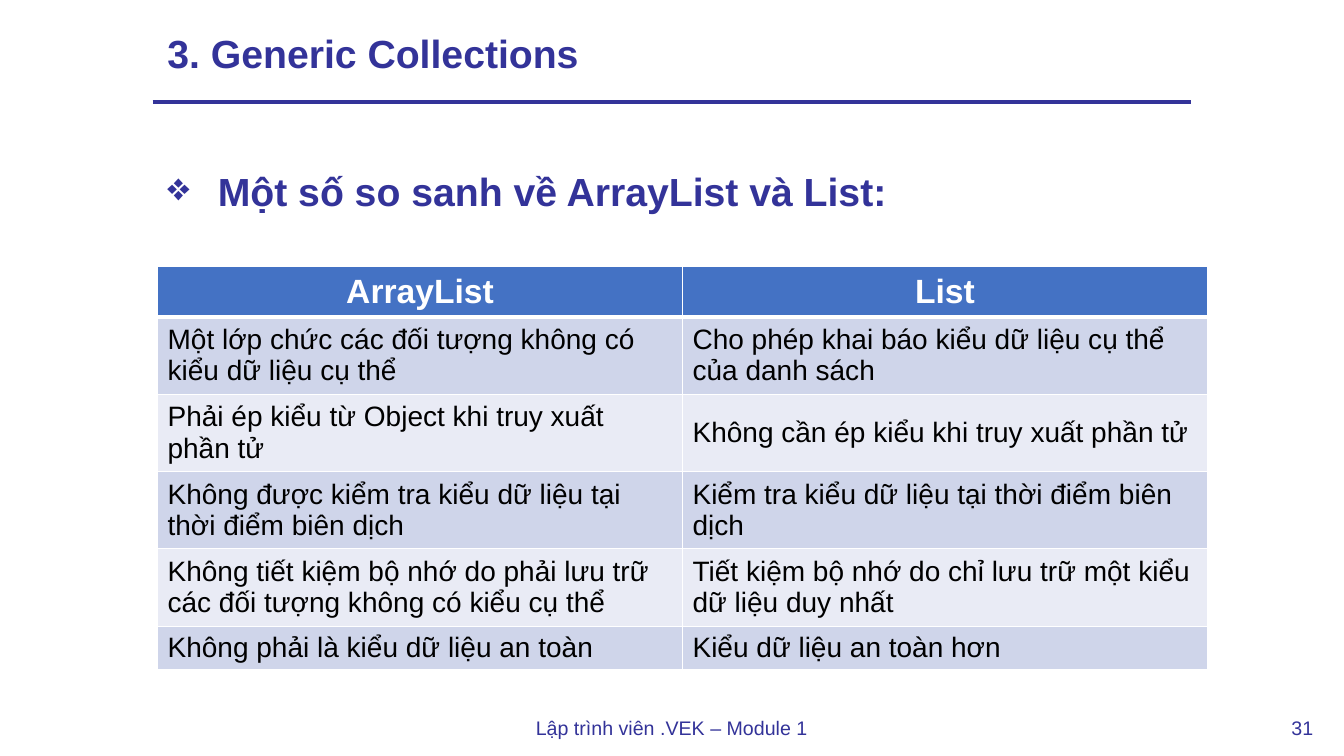
from dataclasses import dataclass
from typing import Optional

from lxml.etree import SubElement
from pptx import Presentation
from pptx.dml.color import RGBColor
from pptx.enum.shapes import MSO_CONNECTOR
from pptx.enum.text import MSO_ANCHOR, MSO_AUTO_SIZE, PP_ALIGN
from pptx.oxml.ns import qn
from pptx.util import Pt

NAVY = RGBColor(0x33, 0x33, 0x99)
BLUE = RGBColor(0x44, 0x72, 0xC4)
BAND_DARK = RGBColor(0xCF, 0xD5, 0xEA)
BAND_LIGHT = RGBColor(0xE9, 0xEB, 0xF5)
WHITE = RGBColor(0xFF, 0xFF, 0xFF)
BLACK = RGBColor(0x00, 0x00, 0x00)
FONT = "Arial"

TABLE_LEFT, TABLE_TOP = 112.5, 190.2
COLUMN_WIDTH = 375
ROW_HEIGHTS = [36, 55.3, 55.3, 55.3, 55.3, 30.8]
COMPARISON = [
    ("ArrayList", "List"),
    ("Một lớp chức các đối tượng không có kiểu dữ liệu cụ thể",
     "Cho phép khai báo kiểu dữ liệu cụ thể của danh sách"),
    ("Phải ép kiểu từ Object khi truy xuất phần tử",
     "Không cần ép kiểu khi truy xuất phần tử"),
    ("Không được kiểm tra kiểu dữ liệu tại thời điểm biên dịch",
     "Kiểm tra kiểu dữ liệu tại thời điểm biên dịch"),
    ("Không tiết kiệm bộ nhớ do phải lưu trữ các đối tượng không có kiểu cụ thể",
     "Tiết kiệm bộ nhớ do chỉ lưu trữ một kiểu dữ liệu duy nhất"),
    ("Không phải là kiểu dữ liệu an toàn", "Kiểu dữ liệu an toàn hơn"),
]


@dataclass
class Label:
    text: str
    left: float
    top: float
    width: float
    height: float
    size: float
    bold: bool = False
    align: PP_ALIGN = PP_ALIGN.LEFT
    line_spacing: float = 1.5
    space_after: float = 0
    anchor: MSO_ANCHOR = MSO_ANCHOR.TOP
    wrap: bool = True
    grow: bool = True
    bullet: Optional[str] = None


LABELS = [
    Label("31", 914.4, 499.7, 31.7, 29.5, 14, align=PP_ALIGN.CENTER, wrap=False),
    Label("Lập trình viên .VEK – Module 1", 375.1, 499.7, 209.5, 29.5, 14,
          align=PP_ALIGN.CENTER, wrap=False),
    Label("3. Generic Collections", 112.5, 19.4, 749.5, 40.3, 28, bold=True,
          line_spacing=0.9, anchor=MSO_ANCHOR.MIDDLE, grow=False),
    Label("Một số so sanh về ArrayList và List:", 112.5, 99.4, 740.9, 51.8, 28,
          bold=True, align=PP_ALIGN.JUSTIFY, space_after=8, bullet="❖"),
]


def add_run(paragraph, text: str, size: float, color: RGBColor, bold: bool) -> None:
    run = paragraph.add_run()
    run.text = text
    run.font.name = FONT
    run.font.size = Pt(size)
    run.font.bold = bold
    run.font.color.rgb = color


def add_bullet(paragraph, character: str, indent: float) -> None:
    properties = paragraph._p.get_or_add_pPr()
    properties.set("marL", str(Pt(indent)))
    properties.set("indent", str(Pt(-indent)))
    SubElement(properties, qn("a:buChar")).set("char", character)


def add_label(slide, label: Label) -> None:
    shape = slide.shapes.add_textbox(
        Pt(label.left), Pt(label.top), Pt(label.width), Pt(label.height))
    frame = shape.text_frame
    frame.word_wrap = label.wrap
    frame.vertical_anchor = label.anchor
    frame.auto_size = (MSO_AUTO_SIZE.SHAPE_TO_FIT_TEXT if label.grow
                       else MSO_AUTO_SIZE.NONE)
    paragraph = frame.paragraphs[0]
    paragraph.alignment = label.align
    paragraph.line_spacing = label.line_spacing
    paragraph.space_after = Pt(label.space_after)
    if label.bullet:
        add_bullet(paragraph, label.bullet, 36)
    add_run(paragraph, label.text, label.size, NAVY, label.bold)


def add_rule(slide) -> None:
    rule = slide.shapes.add_connector(
        MSO_CONNECTOR.STRAIGHT, Pt(109), Pt(73), Pt(851), Pt(73))
    rule.line.color.rgb = NAVY
    rule.line.width = Pt(3)
    SubElement(rule._element.spPr, qn("a:effectLst"))


def set_borders(cell, top: float, bottom: float) -> None:
    properties = cell._tc.get_or_add_tcPr()
    widths = {"a:lnL": 1, "a:lnR": 1, "a:lnT": top, "a:lnB": bottom}
    for tag, width in widths.items():
        line = SubElement(properties, qn(tag))
        line.set("w", str(Pt(width)))
        fill = SubElement(line, qn("a:solidFill"))
        SubElement(fill, qn("a:srgbClr")).set("val", str(WHITE))


def fill_cell(cell, text: str, row: int) -> None:
    header = row == 0
    # Borders come before the fill in the cell properties
    set_borders(cell, top=3 if row == 1 else 1, bottom=3 if header else 1)
    cell.fill.solid()
    cell.fill.fore_color.rgb = (
        BLUE if header else BAND_DARK if row % 2 else BAND_LIGHT)
    cell.vertical_anchor = MSO_ANCHOR.MIDDLE
    paragraph = cell.text_frame.paragraphs[0]
    paragraph.alignment = PP_ALIGN.CENTER if header else PP_ALIGN.LEFT
    paragraph.space_before = paragraph.space_after = Pt(6)
    add_run(paragraph, text, 24 if header else 20,
            WHITE if header else BLACK, header)


def add_comparison(slide) -> None:
    columns = len(COMPARISON[0])
    table = slide.shapes.add_table(
        len(COMPARISON), columns, Pt(TABLE_LEFT), Pt(TABLE_TOP),
        Pt(columns * COLUMN_WIDTH), Pt(sum(ROW_HEIGHTS))).table
    for column in table.columns:
        column.width = Pt(COLUMN_WIDTH)
    for row, texts in enumerate(COMPARISON):
        table.rows[row].height = Pt(ROW_HEIGHTS[row])
        for column, text in enumerate(texts):
            fill_cell(table.cell(row, column), text, row)


def main() -> None:
    presentation = Presentation()
    presentation.slide_width, presentation.slide_height = Pt(960), Pt(540)
    slide = presentation.slides.add_slide(presentation.slide_layouts[6])

    # Title rule, then all text, then the comparison table
    add_rule(slide)
    for label in LABELS:
        add_label(slide, label)
    add_comparison(slide)

    presentation.save("out.pptx")


if __name__ == "__main__":
    main()
